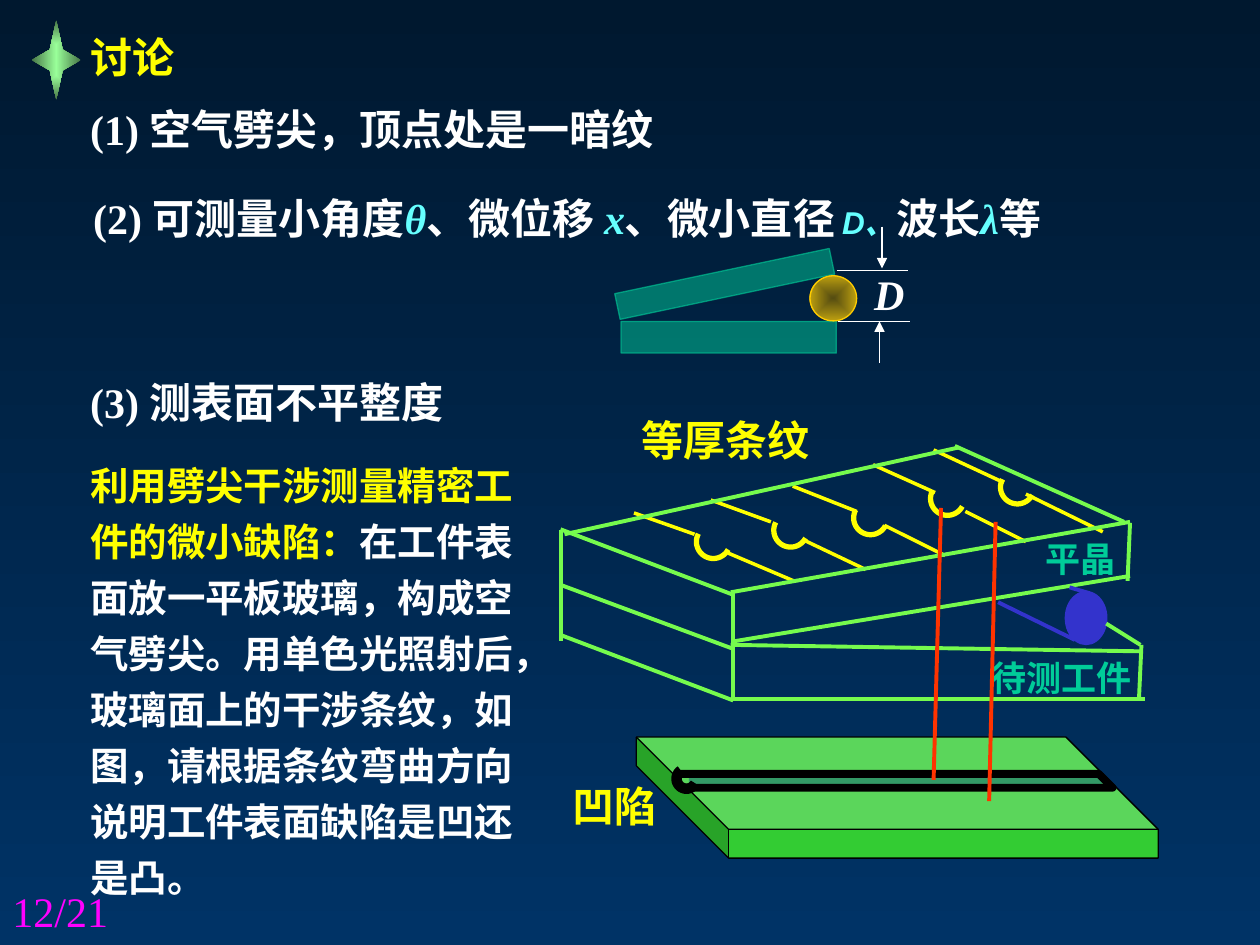
import math
from dataclasses import dataclass

import pptx
import pptx.dml.color
import pptx.enum.shapes
import pptx.enum.text
import pptx.oxml
import pptx.oxml.ns
import pptx.util
from lxml import etree

Cm, Pt = pptx.util.Cm, pptx.util.Pt
RGB = pptx.dml.color.RGBColor.from_string
qn = pptx.oxml.ns.qn
SHAPE = pptx.enum.shapes.MSO_SHAPE
JUSTIFY = pptx.enum.text.PP_ALIGN.JUSTIFY


@dataclass(frozen=True)
class Theme:
    sky_top: str = "00182F"
    sky_bottom: str = "003366"
    white: str = "FFFFFF"
    black: str = "000000"
    yellow: str = "FFFF00"
    cyan: str = "66FFFF"
    magenta: str = "FF00FF"
    teal: str = "00CC99"
    glass: str = "76FB4D"
    roller: str = "3333CC"
    red: str = "FF3300"
    plate: str = "33CC33"
    groove: str = "339966"
    gold: str = "FFCC00"
    gold_dark: str = "765E00"
    star: str = "99FF99"
    star_dark: str = "477647"
    serif: str = "Times New Roman"
    sans: str = "Arial"
    chinese: str = "Noto Sans CJK SC"
    heading: int = 24
    body: int = 22
    label: int = 20
    small: int = 18


theme = Theme()


def add_text(shapes, box, runs, size=theme.heading, color=theme.white, font=theme.serif,
             bold=True, align=None, spacing=None, wrap=True, inset=None, hanging=None):
    """Add a one-paragraph text box; each run is (text, format overrides)."""
    shape = shapes.add_textbox(*map(Cm, box))
    frame = shape.text_frame
    frame.word_wrap = wrap
    if inset is not None:
        frame.margin_left = frame.margin_right = Cm(inset)
        frame.margin_top = frame.margin_bottom = Cm(inset)
    paragraph = frame.paragraphs[0]
    paragraph.alignment = align
    paragraph.line_spacing = spacing
    if hanging:
        properties = paragraph._p.get_or_add_pPr()
        properties.set("marL", str(Cm(hanging)))
        properties.set("indent", str(-Cm(hanging)))
    for text, changes in runs:
        run = paragraph.add_run()
        run.text = text
        run.font.name = changes.get("font", font)
        run.font.size = Pt(changes.get("size", size))
        run.font.bold = bold
        run.font.italic = changes.get("italic", False)
        run.font.color.rgb = RGB(changes.get("color", color))
        east_asian = etree.Element(qn("a:ea"), typeface=theme.chinese)
        run._r.rPr.find(qn("a:latin")).addnext(east_asian)


def add_line(shapes, ends, color, width, arrow=False):
    """Add a straight line from (x1, y1) to (x2, y2)."""
    line = shapes.add_connector(pptx.enum.shapes.MSO_CONNECTOR.STRAIGHT, *map(Cm, ends))
    line.line.color.rgb = RGB(color)
    line.line.width = Pt(width)
    if arrow:
        etree.SubElement(line.line._get_or_add_ln(), qn("a:tailEnd"), type="triangle")
    etree.SubElement(line._element.spPr, qn("a:effectLst"))


presentation = pptx.Presentation()
presentation.slide_width, presentation.slide_height = Cm(25.4), Cm(19.05)
slide = presentation.slides.add_slide(presentation.slide_layouts[6])

# Background
background = slide.background.fill
background.gradient()
background.gradient_angle = 270
for stop, color in zip(background.gradient_stops, (theme.sky_top, theme.sky_bottom)):
    stop.color.rgb = RGB(color)

# Explanation and third item
add_text(slide.shapes, (1.57, 8.99, 9.12, 9.37), [
    ("利用劈尖干涉测量精密工件的微小缺陷：", {"color": theme.yellow}),
    ("在工件表面放一平板玻璃，构成空气劈尖。用单色光照射后，玻璃面上的干涉条纹，如图，"
     "请根据条纹弯曲方向说明工件表面缺陷是凹还是凸。", {}),
], size=theme.body, spacing=Pt(32))
add_text(slide.shapes, (1.57, 7.47, 10.24, 1.27),
         [("(3) ", {}), ("测表面不平整度", {"font": theme.chinese})], align=JUSTIFY)
add_text(slide.shapes, (12.9, 8.33, 4.42, 1.07), [("等厚条纹", {})],
         color=theme.yellow, align=JUSTIFY, inset=0.03)

# Groups, from back to front; the plate lies below all of them
plate = slide.shapes.add_shape(SHAPE.CUBE, Cm(12.83), Cm(14.86), Cm(10.52), Cm(2.44))
plate.adjustments[0] = 0.762
plate._element.spPr.find(qn("a:xfrm")).set("flipH", "1")
groove, fringes, glass = (slide.shapes.add_group_shape().shapes for _ in range(3))

# Solid shapes of the plate, its groove and the roller
groove_bed = groove.add_shape(SHAPE.RECTANGLE, Cm(13.89), Cm(15.6), Cm(8.33), Cm(0.28))
roller = glass.add_shape(SHAPE.FLOWCHART_CONNECTOR, Cm(21.49), Cm(11.94), Cm(0.81), Cm(1.04))
for shape, fill, outline, width in (
    (plate, theme.plate, theme.black, 0.75),
    (groove_bed, theme.groove, None, 0),
    (roller, theme.roller, theme.roller, 1.5),
):
    shape.shadow.inherit = False
    shape.fill.solid()
    shape.fill.fore_color.rgb = RGB(fill)
    if outline:
        shape.line.color.rgb = RGB(outline)
        shape.line.width = Pt(width)
    else:
        shape.line.fill.background()

# Fringes: a straight piece, a half-circle bend, a straight piece
add_line(groove, (13.67, 15.6, 22.25, 15.6), theme.black, 0.75)
arcs = [(groove, (13.84, 15.7), 0.2, 236, theme.black, 6)]
for upper, center, lower in (
    ((12.78, 10.34, 14.0, 10.77), (14.38, 10.92), (14.68, 11.15, 16.0, 11.71)),
    ((14.33, 10.08, 15.54, 10.52), (15.94, 10.69), (16.23, 10.9, 17.45, 11.48)),
    ((15.98, 9.8, 17.27, 10.31), (17.55, 10.44), (17.83, 10.59, 19.05, 11.2)),
    ((17.6, 9.37, 18.85, 9.93), (19.1, 10.05), (19.46, 10.31, 20.68, 10.92)),
    ((18.82, 9.07, 20.24, 9.73), (20.51, 9.82), (20.68, 9.96, 22.23, 10.72)),
):
    add_line(fringes, upper, theme.yellow, 2)
    add_line(fringes, lower, theme.yellow, 2)
    arcs.append((fringes, center, 0.34, 208, theme.yellow, 3))

# Open outlines: the arcs and the rim of the groove
outlines = []
for shapes, (x, y), radius, end, color, width in arcs:
    angles = [math.radians(28 + (end - 28) * step / 24) for step in range(25)]
    points = [(x + radius * math.cos(a), y + radius * math.sin(a)) for a in angles]
    outlines.append((shapes, points, color, width))
rim = [(13.69, 15.6), (22.15, 15.6), (22.43, 15.88), (13.82, 15.88)]
outlines.append((groove, rim, theme.black, 4.5))
for shapes, points, color, width in outlines:
    points = [(Cm(x), Cm(y)) for x, y in points]
    builder = shapes.build_freeform(*points[0])
    builder.add_line_segments(points[1:], close=False)
    outline = builder.convert_to_shape()
    outline.shadow.inherit = False
    outline.fill.background()
    outline.line.color.rgb = RGB(color)
    outline.line.width = Pt(width)

# Glass plate over the workpiece
for ends in (
    (22.78, 10.54, 22.73, 11.71), (23.01, 13.0, 22.96, 14.1),
    (19.25, 8.99, 22.66, 10.52), (11.3, 10.69, 11.3, 12.93),
    (14.78, 11.91, 14.78, 14.05), (11.3, 10.67, 14.78, 11.99),
    (11.3, 11.79, 14.78, 13.08), (11.3, 12.8, 14.78, 14.12),
    (14.73, 13.0, 23.01, 13.13), (14.73, 14.1, 23.09, 14.1),
    (11.38, 10.77, 19.33, 9.02), (14.73, 11.94, 22.78, 10.52),
    (14.78, 12.93, 22.78, 11.61), (22.3, 12.57, 22.99, 13.0),
):
    add_line(glass, ends, theme.glass, 2.25)
for ends in ((20.12, 12.14, 21.67, 12.9), (21.56, 11.84, 21.97, 11.96)):
    add_line(glass, ends, theme.roller, 2.25)
for text, box in (("平晶", (20.83, 10.72, 3.18, 0.91)), ("待测工件", (19.74, 13.11, 3.6, 0.89))):
    add_text(glass, box, [(text, {})], size=theme.label, color=theme.teal, align=JUSTIFY)
for ends in ((20.07, 10.52, 19.94, 16.15), (18.97, 10.24, 18.82, 15.72)):
    add_line(slide.shapes, ends, theme.red, 2.25)

# Wedge with a wire of diameter D
wedge = slide.shapes.add_group_shape().shapes
for box, rotation in (((12.4, 5.46, 4.42, 0.53), 348.1), ((12.52, 6.48, 4.34, 0.64), 0)):
    slab = wedge.add_shape(SHAPE.RECTANGLE, *map(Cm, box))
    slab.rotation = rotation
    slab.shadow.inherit = False
    slab.fill.solid()
    slab.fill.fore_color.rgb = RGB(theme.teal)
    slab.line.color.rgb = RGB(theme.teal)
    slab.line.width = Pt(0.75)
    for color, alpha in zip(slab._element.spPr.iter(qn("a:srgbClr")), ("50000", "61000")):
        etree.SubElement(color, qn("a:alpha"), val=alpha)
wire = wedge.add_shape(SHAPE.OVAL, Cm(16.33), Cm(5.56), Cm(0.94), Cm(0.91))
wire.line.color.rgb = RGB(theme.gold)
wire.line.width = Pt(0.75)
for ends, arrow in (
    ((16.87, 5.46, 18.31, 5.46), False), ((16.89, 6.48, 18.34, 6.48), False),
    ((17.78, 4.57, 17.78, 5.41), True), ((17.73, 7.32, 17.73, 6.48), True),
):
    add_line(wedge, ends, theme.white, 0.75, arrow)
add_text(wedge, (17.37, 5.28, 1.09, 1.27), [("D", {"italic": True})])

# Heading and first two items
symbol = {"color": theme.cyan, "italic": True}
add_text(slide.shapes, (1.57, 0.51, 2.24, 1.27), [("讨论", {})],
         color=theme.yellow, font=theme.chinese, wrap=False)
add_text(slide.shapes, (1.57, 1.96, 14.22, 1.27),
         [("(1) 空气", {}), ("劈尖，顶点处是一暗纹", {"font": theme.chinese})])
add_text(slide.shapes, (1.63, 3.51, 22.07, 1.52), [
    ("(2) 可测量小角度", {}), ("θ", symbol), ("、微位移 ", {}), ("x", symbol), ("、", {}),
    ("微小直径", {"font": theme.sans}),
    (" ", {"font": theme.sans, "size": theme.small, "italic": True}),
    ("D、", {**symbol, "font": theme.sans, "size": theme.small}),
    ("波长", {}), ("λ", symbol), ("等", {}),
], align=JUSTIFY, spacing=1.25, hanging=1.27)

# Star, and the centred gradients of the star and the wire
star = slide.shapes.add_shape(SHAPE.STAR_4_POINT, Cm(0.64), Cm(0.41), Cm(0.99), Cm(1.6))
star.adjustments[0] = 0.185
star.line.fill.background()
for shape, colors, alphas in (
    (star, (theme.star, theme.star_dark), ("100000", "100000")),
    (wire, (theme.gold_dark, theme.gold), ("72000", "75000")),
):
    shape.shadow.inherit = False
    shape.fill.gradient()
    for stop, color in zip(shape.fill.gradient_stops, colors):
        stop.color.rgb = RGB(color)
    gradient = shape._element.spPr.find(qn("a:gradFill"))
    for color, alpha in zip(gradient.iter(qn("a:srgbClr")), alphas):
        etree.SubElement(color, qn("a:alpha"), val=alpha)
    radial = etree.Element(qn("a:path"), path="shape")
    etree.SubElement(radial, qn("a:fillToRect"), l="50000", t="50000", r="50000", b="50000")
    gradient.replace(gradient.find(qn("a:lin")), radial)

# Page number and groove label
add_text(slide.shapes, (0, 17.73, 5.92, 1.32), [("12/21", {})], color=theme.magenta, bold=False)
add_text(slide.shapes, (11.3, 15.6, 2.59, 1.27), [("凹陷", {})],
         color=theme.yellow, font=theme.chinese)

presentation.save("out.pptx")
